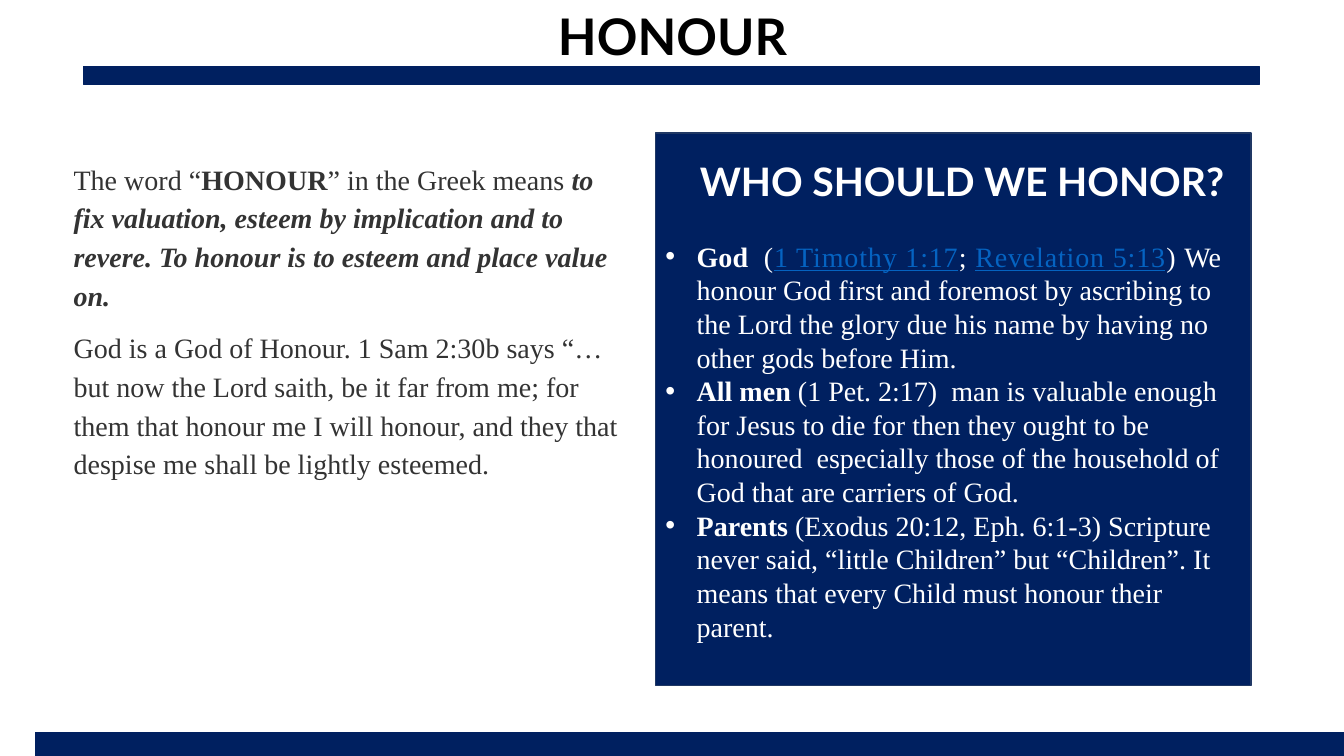
from dataclasses import dataclass

from lxml import etree
from pptx import Presentation
from pptx.dml.color import RGBColor
from pptx.enum import shapes, text
from pptx.oxml.ns import qn
from pptx.util import Inches, Pt

NAVY, EDGE, WHITE, BLACK = "002060", "203864", "FFFFFF", "000000"
GREY, LINK = "333333", "0563C1"
HEADING_FONT, BODY_FONT = "Lato", "Times New Roman"


@dataclass(frozen=True)
class Span:
    """A piece of text with its own emphasis."""
    words: str
    bold: bool = False
    italic: bool = False
    link: bool = False
    spacing: int = 0


@dataclass(frozen=True)
class Bar:
    """A solid horizontal band, in inches."""
    left: float
    top: float
    width: float
    height: float


BARS = [Bar(0.83, 0.66, 11.66, 0.18), Bar(0.35, 7.27, 12.99, 0.23)]

MEANING = [
    [
        Span("The word “"),
        Span("HONOUR", bold=True),
        Span("” in the Greek means "),
        Span("to fix valuation, esteem by implication and to revere. "
             "To honour is to esteem and place value on.", bold=True, italic=True),
    ],
    [
        Span("God is a God of Honour. 1 Sam 2:30b says “…but now the Lord saith, "
             "be it far from me; for them that honour me I will honour, and they "
             "that despise me shall be lightly esteemed."),
    ],
]

PEOPLE = [
    [
        Span("God", bold=True),
        Span(" \u00a0(", spacing=60),
        Span("1 Timothy 1:17", link=True, spacing=60),
        Span(";\u00a0", spacing=60),
        Span("Revelation 5:13", link=True, spacing=60),
        Span(") ", spacing=60),
        Span("We honour God first and foremost by ascribing to the Lord the glory "
             "due his name by having no other gods before Him.\u00a0"),
    ],
    [
        Span("All men", bold=True),
        Span(" (1 Pet. 2:17)  man is valuable enough for Jesus to die for then they "
             "ought to be honoured  especially those of the household of God that "
             "are carriers of God. "),
    ],
    [
        Span("Parents", bold=True),
        Span(" (Exodus 20:12, Eph. 6:1-3) Scripture never said, “little Children” "
             "but “Children”. It means that every Child must honour their parent. "),
    ],
]


def colour(value: str) -> RGBColor:
    """Turn a hex string into a colour."""
    return RGBColor.from_string(value)


def place(box, left: float, top: float, width: float, height: float) -> None:
    """Move and size a box, in inches."""
    box.left, box.top = Inches(left), Inches(top)
    box.width, box.height = Inches(width), Inches(height)


def paint(box, fill: str, line: str) -> None:
    """Give a box a solid fill and a thin outline."""
    box.fill.solid()
    box.fill.fore_color.rgb = colour(fill)
    box.line.color.rgb = colour(line)
    box.line.width = Pt(1)


def style(font, name: str, size: float, shade: str) -> None:
    """Set typeface, size and colour."""
    font.name, font.size = name, Pt(size)
    font.color.rgb = colour(shade)


def add_bar(page, bar: Bar) -> None:
    """Draw one navy band."""
    box = page.shapes.add_shape(
        shapes.MSO_SHAPE.RECTANGLE, Inches(bar.left), Inches(bar.top),
        Inches(bar.width), Inches(bar.height))
    box.shadow.inherit = False
    paint(box, NAVY, NAVY)


def write_heading(box, words: str, size: float, shade: str) -> None:
    """Write one centred bold heading line."""
    frame = box.text_frame
    frame.word_wrap = True
    frame.vertical_anchor = text.MSO_ANCHOR.TOP
    frame.text = words
    para = frame.paragraphs[0]
    para.alignment = text.PP_ALIGN.CENTER
    style(para.font, HEADING_FONT, size, shade)
    para.font.bold = True


def set_bullet(para, bullet: str) -> None:
    """Give a paragraph a hanging bullet, or none when the bullet is empty."""
    properties = para._p.get_or_add_pPr()
    hang = Inches(0.31) if bullet else 0
    properties.set("marL", str(hang))
    properties.set("indent", str(-hang))
    if bullet:
        etree.SubElement(properties, qn("a:buFont")).set("typeface", "Arial")
        etree.SubElement(properties, qn("a:buChar")).set("char", bullet)
    else:
        etree.SubElement(properties, qn("a:buNone"))


def write_body(box, paragraphs: list[list[Span]], shade: str, bullet: str = "",
               leading: float = 1.0, after: float = 0) -> None:
    """Fill a body placeholder with styled paragraphs."""
    frame = box.text_frame
    frame.auto_size = text.MSO_AUTO_SIZE.NONE
    for index, spans in enumerate(paragraphs):
        para = frame.add_paragraph() if index else frame.paragraphs[0]
        para.line_spacing = leading
        para.space_before, para.space_after = Pt(0), Pt(after)
        set_bullet(para, bullet)
        style(para.font, BODY_FONT, 20, shade)
        for span in spans:
            run = para.add_run()
            run.text = span.words
            run.font.bold, run.font.italic = span.bold, span.italic
            if span.link:
                run.font.underline = True
                run.font.color.rgb = colour(LINK)
            if span.spacing:
                run.font._element.set("spc", str(span.spacing))


def build() -> None:
    """Build the slide and save it."""
    deck = Presentation()
    deck.slide_width, deck.slide_height = Inches(13.33), Inches(7.5)
    page = deck.slides.add_slide(deck.slide_layouts[3])
    title, meaning, panel = page.placeholders

    for bar in BARS:
        add_bar(page, bar)

    place(title, 3.29, 0, 6.76, 0.71)
    write_heading(title, "HONOUR", 36, BLACK)

    place(meaning, 0.63, 1.51, 5.61, 3.31)
    write_body(meaning, MEANING, GREY, leading=1.15, after=10)

    place(panel, 6.5, 1.32, 5.91, 5.48)
    paint(panel, NAVY, EDGE)
    panel.text_frame.vertical_anchor = text.MSO_ANCHOR.MIDDLE
    panel.text_frame.margin_top = Inches(0.68)
    write_body(panel, PEOPLE, WHITE, bullet="•")

    question = page.shapes.add_textbox(
        Inches(5.74), Inches(1.51), Inches(7.6), Inches(0.57))
    write_heading(question, "WHO SHOULD WE HONOR?", 28, WHITE)

    deck.save("out.pptx")


build()
